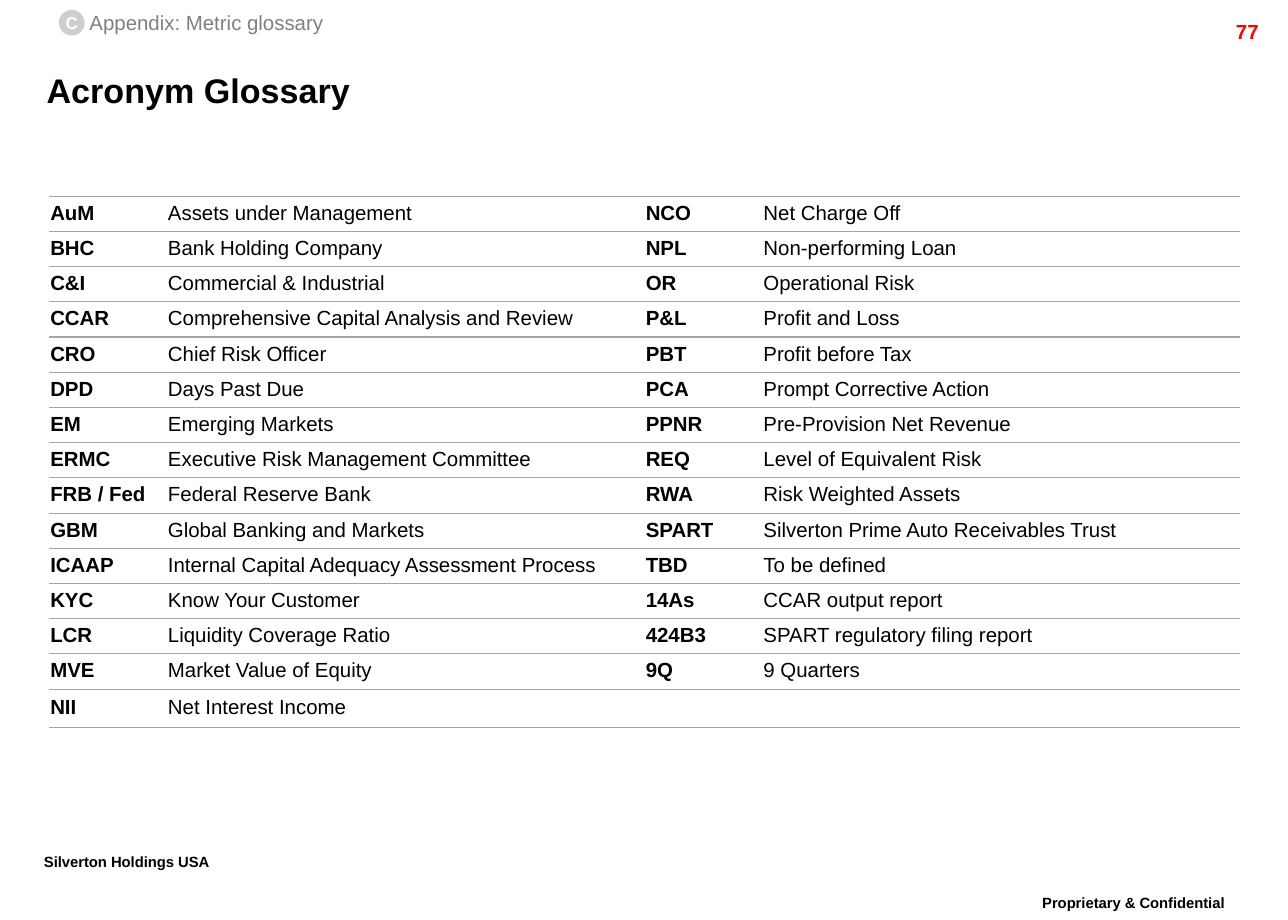
from dataclasses import dataclass

from lxml.etree import SubElement
from pptx import Presentation
from pptx.dml.color import RGBColor
from pptx.enum.shapes import MSO_SHAPE as Shape
from pptx.enum.text import MSO_ANCHOR as Anchor, MSO_AUTO_SIZE as AutoSize, PP_ALIGN as Align
from pptx.oxml.ns import qn
from pptx.util import Inches, Pt


@dataclass(frozen=True)
class Theme:
    font: str = "Arial"
    ink: str = "000000"
    accent: str = "FF0000"
    muted: str = "808080"
    badge: str = "CECECE"
    paper: str = "FFFFFF"
    rule: str = "A5A5A5"
    title_size: int = 20
    footer_size: int = 15
    body_size: int = 12
    badge_size: int = 10
    rule_width: float = 0.75
    tight: float = 0.86


THEME = Theme()
WIDTH, HEIGHT = Inches(10.5), Inches(7.5)
TITLE_ONLY = 5

# Percent of the slide's width
TERM_WIDTH, MEANING_WIDTH = 9.14, 37.1

GLOSSARY = [
    ("AuM", "Assets under Management", "NCO", "Net Charge Off"),
    ("BHC", "Bank Holding Company", "NPL", "Non-performing Loan"),
    ("C&I", "Commercial & Industrial", "OR", "Operational Risk"),
    ("CCAR", "Comprehensive Capital Analysis and Review", "P&L", "Profit and Loss"),
    ("CRO", "Chief Risk Officer", "PBT", "Profit before Tax"),
    ("DPD", "Days Past Due", "PCA", "Prompt Corrective Action"),
    ("EM", "Emerging Markets", "PPNR", "Pre-Provision Net Revenue"),
    ("ERMC", "Executive Risk Management Committee", "REQ", "Level of Equivalent Risk"),
    ("FRB / Fed", "Federal Reserve Bank", "RWA", "Risk Weighted Assets"),
    ("GBM", "Global Banking and Markets", "SPART", "Silverton Prime Auto Receivables Trust"),
    ("ICAAP", "Internal Capital Adequacy Assessment Process", "TBD", "To be defined"),
    ("KYC", "Know Your Customer", "14As", "CCAR output report"),
    ("LCR", "Liquidity Coverage Ratio", "424B3", "SPART regulatory filing report"),
    ("MVE", "Market Value of Equity", "9Q", "9 Quarters"),
    ("NII", "Net Interest Income", "", ""),
]


def across(percent):
    return round(WIDTH * percent / 100)


def down(percent):
    return round(HEIGHT * percent / 100)


def area(left, top, width, height):
    """Turn percentages of the slide into a position and a size."""
    return across(left), down(top), across(width), down(height)


def write(frame, text, *, size=THEME.body_size, color=THEME.ink, bold=False,
          align=Align.LEFT, anchor=Anchor.TOP, wrap=True, inset=None,
          spacing=None, raised=None):
    """Fill a text frame or cell-like frame; raised is a superscript percentage."""
    frame.word_wrap = wrap
    frame.vertical_anchor = anchor
    if inset is not None:
        frame.margin_left = frame.margin_right = Inches(inset)
        frame.margin_top = frame.margin_bottom = Inches(inset)
    para = frame.paragraphs[0]
    para.alignment = align
    if spacing:
        para.line_spacing = spacing
    span = para.add_run()
    span.text = text
    span.font.name = THEME.font
    span.font.size = Pt(size)
    span.font.bold = bold
    span.font.color.rgb = RGBColor.from_string(color)
    if raised:
        span._r.get_or_add_rPr().set("baseline", str(raised * 1000))


def add_label(page, place, text, **style):
    box = page.shapes.add_textbox(*area(*place))
    write(box.text_frame, text, **style)


def add_footer(page, place, text, align):
    add_label(page, place, text, size=THEME.footer_size, bold=True, align=align,
              spacing=THEME.tight, raised=30)


def set_title(page, place, text):
    title = page.shapes.title
    title.left, title.top, title.width, title.height = area(*place)
    title.text_frame.auto_size = AutoSize.NONE
    write(title.text_frame, text, size=THEME.title_size, bold=True,
          anchor=Anchor.MIDDLE, inset=0)


def add_badge(page, place, letter):
    badge = page.shapes.add_shape(Shape.OVAL, *area(*place))
    badge.shadow.inherit = False
    badge.fill.solid()
    badge.fill.fore_color.rgb = RGBColor.from_string(THEME.badge)
    badge.line.fill.background()
    write(badge.text_frame, letter, size=THEME.badge_size, color=THEME.paper,
          bold=True, align=Align.CENTER, anchor=Anchor.MIDDLE, wrap=False)


def rule_cell(cell):
    """Draw lines above and below the cell and none at its sides."""
    properties = cell._tc.get_or_add_tcPr()
    for side in ("lnL", "lnR"):
        SubElement(SubElement(properties, qn(f"a:{side}")), qn("a:noFill"))
    for side in ("lnT", "lnB"):
        line = SubElement(properties, qn(f"a:{side}"), w=str(Pt(THEME.rule_width)))
        fill = SubElement(line, qn("a:solidFill"))
        SubElement(fill, qn("a:srgbClr"), val=THEME.rule)
    cell.fill.background()


def add_glossary(page, place, entries):
    widths = (TERM_WIDTH, MEANING_WIDTH) * 2
    table = page.shapes.add_table(len(entries), len(widths), *area(*place)).table
    table.first_row = table.horz_banding = False
    for column, width in zip(table.columns, widths):
        column.width = across(width)
    for row, entry in zip(table.rows, entries):
        row.height = down(place[3] / len(entries))
        for index, (cell, text) in enumerate(zip(row.cells, entry)):
            rule_cell(cell)
            cell.margin_left = cell.margin_right = cell.margin_top = Inches(0.01)
            cell.margin_bottom = 0
            cell.vertical_anchor = Anchor.MIDDLE
            write(cell.text_frame, text, bold=index % 2 == 0,
                  anchor=None, wrap=None, spacing=THEME.tight)


def main():
    deck = Presentation()
    deck.slide_width, deck.slide_height = WIDTH, HEIGHT
    page = deck.slides.add_slide(deck.slide_layouts[TITLE_ONLY])

    add_footer(page, (77.62, 96.67, 20.76, 4.67), "Proprietary & Confidential", Align.CENTER)
    add_footer(page, (2.48, 92.13, 18.19, 4.67), "Silverton Holdings USA", Align.LEFT)
    add_label(page, (89.14, 1.47, 9.52, 3.2), "77", color=THEME.accent,
              bold=True, align=Align.RIGHT)
    set_title(page, (3.62, 6.53, 90.29, 6.4), "Acronym Glossary")
    add_badge(page, (4.57, 1.07, 2, 2.8), "C")
    add_label(page, (6.95, 1.07, 18.29, 2.67), "Appendix: Metric glossary",
              color=THEME.muted, wrap=False, inset=0)
    add_glossary(page, (3.81, 21.33, 92.48, 57.47), GLOSSARY)

    deck.save("out.pptx")


if __name__ == "__main__":
    main()
